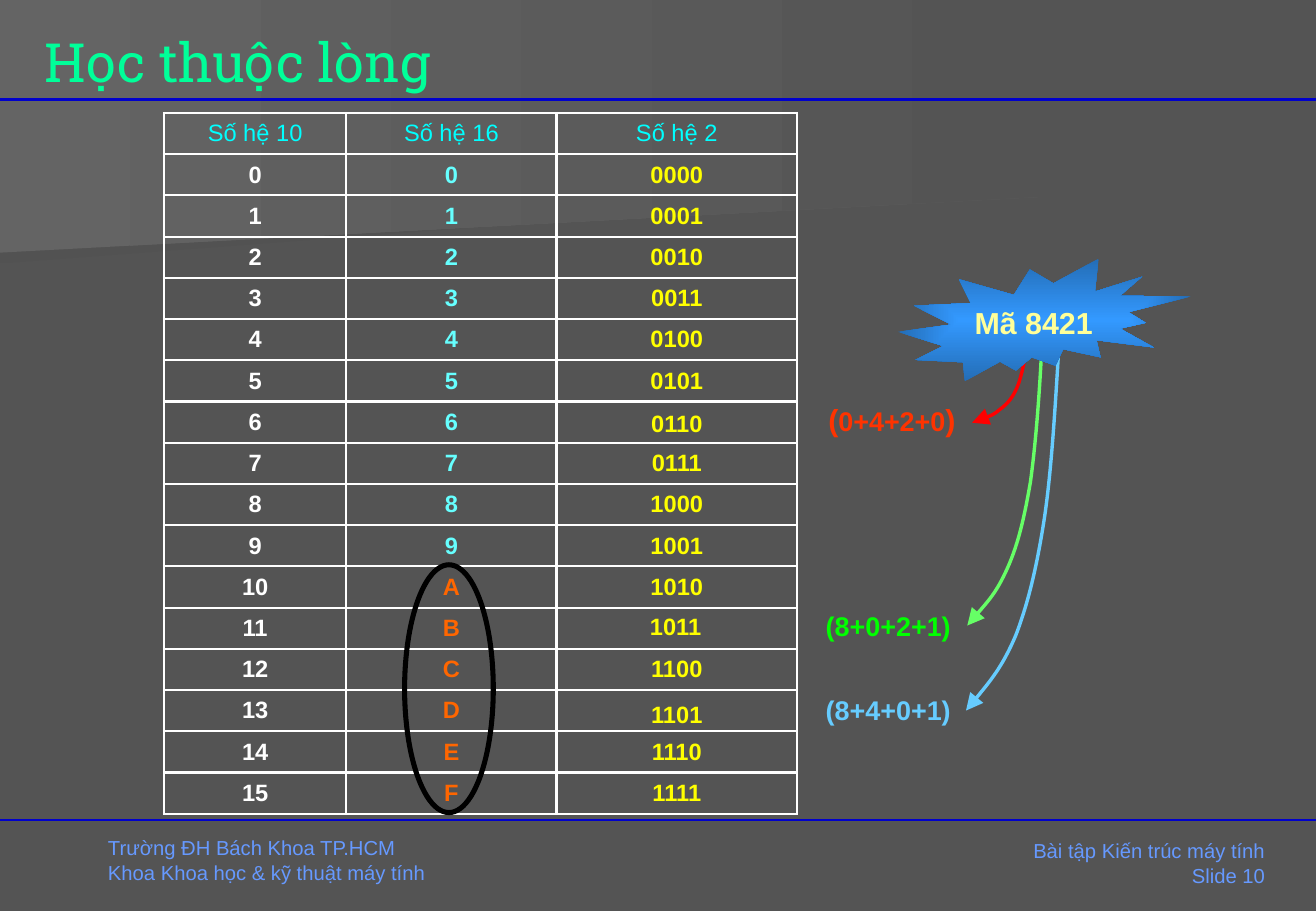
import dataclasses
import pptx
import pptx.util
import pptx.dml.color
import pptx.enum.shapes
import pptx.enum.text
import pptx.oxml
import pptx.oxml.ns
import lxml.etree

Inches = pptx.util.Inches
SHAPE = pptx.enum.shapes.MSO_SHAPE
ALIGN = pptx.enum.text.PP_ALIGN
MIDDLE = pptx.enum.text.MSO_ANCHOR.MIDDLE
qn = pptx.oxml.ns.qn


@dataclasses.dataclass(frozen=True)
class Theme:
    """Colours, fonts and type sizes of the slide."""
    ground: str = "545454"
    shade: str = "525252"
    glow: str = "646464"
    rule: str = "0000CC"
    title: str = "00FF99"
    footer: str = "6699FF"
    header: str = "00FFFF"
    white: str = "FFFFFF"
    digit: str = "66FFFF"
    letter: str = "FF6600"
    binary: str = "FFFF00"
    red: str = "FF0000"
    red_text: str = "FF3300"
    green: str = "66FF66"
    green_text: str = "00FF00"
    blue: str = "66CCFF"
    seal: str = "3399FF"
    seal_edge: str = "246DB6"
    seal_text: str = "FFFF99"
    ring: str = "000000"
    font: str = "Arial"
    title_font: str = "Roboto Slab"
    title_size: int = 32
    large: int = 18
    sum_size: int = 16
    cell_size: int = 14
    small: int = 12


THEME = Theme()


def color(code):
    """Return the colour for a hexadecimal code."""
    return pptx.dml.color.RGBColor.from_string(code)


def apply(target, formats):
    """Set each attribute named in formats on the target."""
    for name, value in formats.items():
        setattr(target, name, value)


def write(frame, lines, code, size, bold=False, align=ALIGN.LEFT, font=THEME.font):
    """Write lines, each a list of (text, size) spans or a plain string."""
    for index, line in enumerate(lines):
        para = frame.add_paragraph() if index else frame.paragraphs[0]
        para.alignment = align
        for text, points in [(line, size)] if isinstance(line, str) else line:
            span = para.add_run()
            span.text = text
            apply(span.font, {"name": font, "size": pptx.util.Pt(points), "bold": bold})
            span.font.color.rgb = color(code)


def add_text(page, box, lines, code, size, inset=None, anchor=None, **style):
    """Place a wrapping text box."""
    frame = page.shapes.add_textbox(*map(Inches, box)).text_frame
    prepare(frame, inset, anchor)
    write(frame, lines, code, size, **style)


def prepare(frame, inset=None, anchor=None):
    """Set wrapping, anchor and equal insets of a text frame."""
    apply(frame, {"word_wrap": True, "vertical_anchor": anchor})
    if inset is not None:
        sides = ("left", "top", "right", "bottom")
        apply(frame, {f"margin_{side}": Inches(inset) for side in sides})


def blend(fill, first, last):
    """Fill with a two-stop gradient running left to right."""
    fill.gradient()
    fill.gradient_angle = 0
    for stop, code in zip(fill.gradient_stops, (first, last)):
        stop.color.rgb = color(code)


def outline(page, points, close):
    """Build an outline through points given in inches, on a grid of hundredths."""
    grid = [(round(x * 100), round(y * 100)) for x, y in points]
    builder = page.shapes.build_freeform(*grid[0], scale=Inches(0.01))
    builder.add_line_segments(grid[1:], close=close)
    shape = builder.convert_to_shape()
    shape.shadow.inherit = False
    return shape


def stroke(line, code, width):
    """Colour a line and set its width in points."""
    line.color.rgb = color(code)
    line.width = pptx.util.Pt(width)


def add_backdrop(page, box):
    """Draw the ground, its slanted light bands and the two rules."""
    left, top, width, height = box
    page.background.fill.solid()
    page.background.fill.fore_color.rgb = color(THEME.ground)
    bands = (
        ([(8.43, 1.53), (0, 2.17), (0, 1.01), (8.44, 1.01), (8.43, 1.28)], THEME.shade),
        ([(8.58, 1.62), (0, 2.08), (0, 0), (8.58, 0)], THEME.glow),
    )
    for points, code in bands:
        band = outline(page, [(left + x, top + y) for x, y in points], True)
        blend(band.fill, code, THEME.ground)
        band.line.fill.background()
    for y in (0.82, 6.75):
        ends = map(Inches, (left, top + y, left + width, top + y))
        rule = page.shapes.add_connector(pptx.enum.shapes.MSO_CONNECTOR.STRAIGHT, *ends)
        stroke(rule.line, THEME.rule, 1.5)
        lxml.etree.SubElement(rule._element.spPr, qn("a:effectLst"))


def add_footer(page, box):
    """Place the school on the left and the course on the right."""
    left, top, width, height = box
    add_text(page, (left, top, 3.22, 0.5),
             ["Trường ĐH Bách Khoa TP.HCM", "Khoa Khoa học & kỹ thuật máy tính"],
             THEME.footer, THEME.small)
    add_text(page, (left + width - 2.86, top + 0.03, 2.86, 0.49),
             ["Bài tập Kiến trúc máy tính", "Slide 10"],
             THEME.footer, THEME.small, anchor=MIDDLE, align=ALIGN.RIGHT)


def add_borders(cell):
    """Draw a white border on every side of a cell."""
    for index, side in enumerate(("lnL", "lnR", "lnT", "lnB")):
        border = lxml.etree.Element(qn(f"a:{side}"), w=str(pptx.util.Pt(1.5)))
        paint = lxml.etree.SubElement(border, qn("a:solidFill"))
        lxml.etree.SubElement(paint, qn("a:srgbClr"), val=THEME.white)
        cell._tc.get_or_add_tcPr().insert(index, border)


def add_number_table(page, box):
    """Tabulate 0 to 15 in decimal, hexadecimal and binary, and ring A to F."""
    left, top, width, height = box
    rows = [[(f"Số hệ {base}", THEME.header) for base in (10, 16, 2)]]
    for n in range(16):
        rows.append([(str(n), THEME.white),
                     (f"{n:X}", THEME.digit if n < 10 else THEME.letter),
                     (f"{n:04b}", THEME.binary)])
    table = page.shapes.add_table(len(rows), 3, *map(Inches, box)).table
    apply(table, {"first_row": False, "horz_banding": False})
    for column, size in zip(table.columns, (1.5, 1.73, 1.98)):
        column.width = Inches(size)
    for r, row in enumerate(rows):
        table.rows[r].height = Inches(height / len(rows))
        for c, (text, code) in enumerate(row):
            cell = table.cell(r, c)
            apply(cell, {"vertical_anchor": MIDDLE, "margin_top": Inches(0.03),
                         "margin_bottom": Inches(0.03)})
            cell.fill.background()
            add_borders(cell)
            write(cell.text_frame, [text], code, THEME.cell_size, r > 0, ALIGN.CENTER)
    for n, x, y in ((6, 3.55, 2.44), (11, 3.54, 4.11), (13, 3.55, 4.83)):
        place = map(Inches, (left + x, top + y, 1.34, 0.23))
        patch = page.shapes.add_shape(SHAPE.RECTANGLE, *place)
        patch.shadow.inherit = False
        patch.fill.solid()
        patch.fill.fore_color.rgb = color(THEME.ground)
        patch.line.fill.background()
        prepare(patch.text_frame, 0, MIDDLE)
        write(patch.text_frame, [f"{n:04b}"], THEME.binary, THEME.cell_size, True, ALIGN.CENTER)
    place = map(Inches, (left + 1.98, top + 3.72, 0.73, 2.04))
    ring = page.shapes.add_shape(SHAPE.OVAL, *place)
    ring.shadow.inherit = False
    ring.fill.background()
    stroke(ring.line, THEME.ring, 3)


def add_curved_arrow(page, points, code):
    """Draw an arrow along cubic curves given by end and control points."""
    arrow = outline(page, points, False)
    arrow.fill.background()
    stroke(arrow.line, code, 2)
    lxml.etree.SubElement(arrow.line._get_or_add_ln(), qn("a:tailEnd"),
                          type="triangle", w="lg", len="lg")
    steps = list(arrow._element.iter(qn("a:lnTo")))
    for start in range(0, len(steps), 3):
        curve = lxml.etree.Element(qn("a:cubicBezTo"))
        steps[start].addprevious(curve)
        for step in steps[start:start + 3]:
            curve.append(step[0])
            step.getparent().remove(step)


def add_code_8421(page, box):
    """Draw the burst, its arrows and the digit sums."""
    left, top, width, height = box
    big = THEME.large
    sums = (
        (0, 2.89, "(8+0+2+1)", THEME.green_text),
        (0.03, 1.17, [("(", big), ("0+4+2+0", THEME.sum_size), (")", big)], THEME.red_text),
        (0, 3.58, "(8+4+0+1)", THEME.blue),
    )
    for x, y, line, code in sums:
        add_text(page, (left + x, top + y, 1.34, 0.3), [line], code, THEME.sum_size,
                 inset=0, bold=True, align=ALIGN.CENTER)
    arrows = (
        (THEME.red, [(1.8, 0.8), (1.78, 0.89), (1.76, 0.99), (1.73, 1.06), (1.7, 1.13),
                     (1.66, 1.19), (1.59, 1.24), (1.53, 1.29), (1.45, 1.32), (1.36, 1.35)]),
        (THEME.green, [(1.93, 0.8), (1.91, 1.18), (1.88, 1.55), (1.84, 1.84), (1.79, 2.13),
                       (1.74, 2.35), (1.65, 2.55), (1.56, 2.75), (1.44, 2.88), (1.32, 3.02)]),
        (THEME.blue, [(2.07, 0.8), (2.04, 1.29), (2.01, 1.79), (1.95, 2.17), (1.89, 2.55),
                      (1.82, 2.84), (1.72, 3.1), (1.61, 3.36), (1.46, 3.54), (1.31, 3.72)]),
    )
    for code, points in arrows:
        add_curved_arrow(page, [(left + x, top + y) for x, y in points], code)
    place = map(Inches, (left + 0.75, top, 2.41, 1.01))
    burst = page.shapes.add_shape(SHAPE.EXPLOSION2, *place)
    burst.shadow.inherit = False
    blend(burst.fill, THEME.seal, THEME.seal_edge)
    linear = burst._element.spPr.find(".//" + qn("a:lin"))
    radial = lxml.etree.Element(qn("a:path"), {"path": "shape"})
    lxml.etree.SubElement(radial, qn("a:fillToRect"), dict.fromkeys("ltrb", "50000"))
    linear.getparent().replace(linear, radial)
    burst.line.fill.background()
    prepare(burst.text_frame, 0, MIDDLE)
    write(burst.text_frame, ["Mã 8421"], THEME.seal_text, big, True, ALIGN.CENTER)


def main():
    """Build the slide and save it."""
    deck = pptx.Presentation()
    apply(deck, {"slide_width": Inches(10.83), "slide_height": Inches(7.5)})
    page = deck.slides.add_slide(deck.slide_layouts[6])
    add_backdrop(page, (0, 0, 10.83, 7.5))
    add_footer(page, (0.79, 6.83, 9.72, 0.52))
    add_text(page, (0.27, 0.19, 10.25, 0.63), ["Học thuộc lòng"], THEME.title,
             THEME.title_size, anchor=MIDDLE, font=THEME.title_font)
    add_number_table(page, (1.35, 0.93, 5.21, 5.77))
    add_code_8421(page, (6.64, 2.13, 3.16, 3.88))
    deck.save("out.pptx")


if __name__ == "__main__":
    main()
